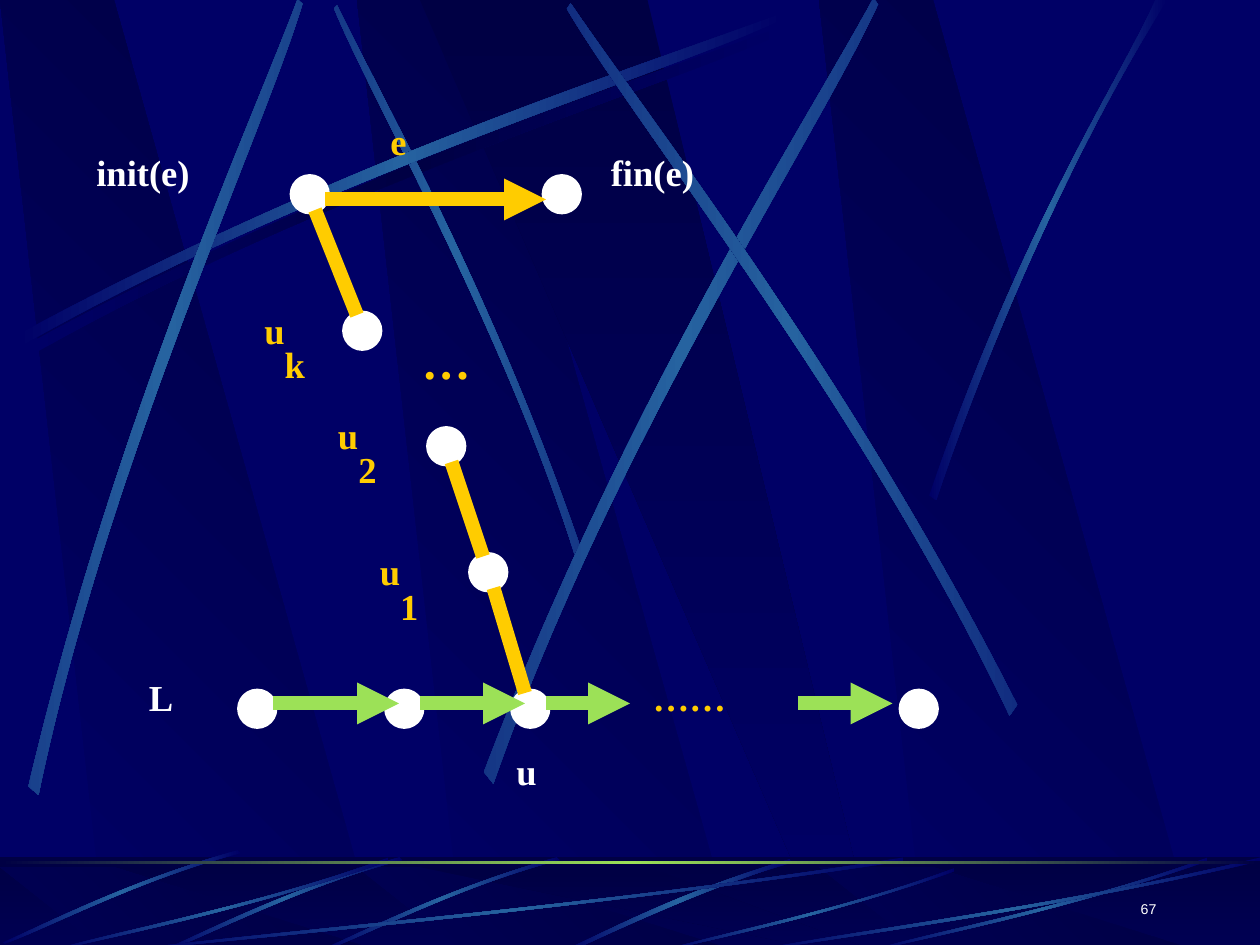
from lxml.etree import SubElement as Sub
from pptx import Presentation
from pptx.dml.color import RGBColor as Rgb
from pptx.enum.shapes import MSO_CONNECTOR as Conn, MSO_SHAPE as Form
from pptx.enum.text import MSO_ANCHOR as Anchor, PP_ALIGN as Align
from pptx.oxml.ns import qn
from pptx.util import Pt

HUES = {"navy": "000066", "dark": "000044", "blue": "2663A0",
        "green": "9CE157", "gold": "FFCC00", "white": "FFFFFF"}

deck = Presentation()
deck.slide_width, deck.slide_height = Pt(720), Pt(540)
slide = deck.slides.add_slide(deck.slide_layouts[6])
shapes = slide.shapes
slide.background.fill.solid()
slide.background.fill.fore_color.rgb = Rgb.from_string(HUES["navy"])


def shade(shape, hues, angle):
    shape.shadow.inherit = False
    shape.line.fill.background()
    shape.fill.gradient()
    grad = shape._element.spPr.find(qn("a:gradFill"))
    grad.set("rotWithShape", "0")
    for child in list(grad):
        grad.remove(child)
    stops = Sub(grad, qn("a:gsLst"))
    for i, hue in enumerate(hues):
        stop = Sub(stops, qn("a:gs"), pos=str(i * 100000 // (len(hues) - 1)))
        Sub(stop, qn("a:srgbClr"), val=HUES[hue])
    Sub(grad, qn("a:lin"), ang=str(angle * 60000), scaled="0")


def write(text, left, top, width, height, size, hue, face="Times New Roman"):
    box = shapes.add_textbox(Pt(left), Pt(top), Pt(width), Pt(height))
    frame = box.text_frame
    frame.word_wrap = True
    para = frame.paragraphs[0]
    for i, part in enumerate(text.split("_")):
        run = para.add_run()
        run.text = part
        run.font.size = Pt(size)
        run.font.name = face
        run.font.bold = face != "Arial"
        run.font.color.rgb = Rgb.from_string(HUES[hue])
        run._r.get_or_add_rPr().set("baseline", "-25000" if i else "30000")
    return frame


slab = [(.28, 1), (1, 1), (.3, 0), (0, 0)]
beam = [(0, 0), (.9, 1), (1, 1), (.5, 0)]
bow = [(0, .96), (.43, .43), (.83, .15), (1, 0),
       (1, .02), (.84, .19), (.38, .5), (0, 1)]
flip = [(1 - x, y) for x, y in bow]
blade = [(0, .99), (.4, .44), (.79, .17), (.95, 0),
         (1, 0), (.52, .36), (.16, .81), (.03, 1)]
horn = [(.99, 0), (.49, .37), (.16, .82), (0, .99),
        (.03, 1), (.23, .77), (.68, .25), (1, .04)]
sweep = [(1, .04), (.57, .57), (.17, .85), (0, 1),
         (0, .99), (.16, .81), (.62, .51), (1, 0)]
fall, rise = (["navy", "dark"], 315), (["dark", "navy"], 90)
dim, glow = (["navy", "dark", "navy"], 0), (["navy", "blue", "navy"], 0)

upper = [(slab, x, 0, 217, 541, 0, fall) for x in (204, 0, 468)] + [
    (beam, 240, 0, 260, 541, 0, rise),
    (bow, 14.4, 13, 438, 192, 0, dim),
    (flip, 101.5, 97, 318, 126, 45, glow),
    (bow, 10, 7, 438, 192, 0, glow),
    (bow, -123, 131, 438, 192, 311.7, glow),
    (bow, 166, 115, 449, 217, 321.6, glow),
    (flip, 232.5, 109.5, 438, 192, 34.7, glow),
    (blade, 531, 0, 136, 286, 0, glow)]
floor = [(slab, x, 495.5, 217, 48, 0, fall) for x in (204, 0, 468)] + [
    (beam, 240, 495.5, 260, 48, 0, rise)]
grass = [(horn, 322.5, 491, 130, 52.5, 0, glow)] + [
    (flip, x, y, 132, 60, 315, glow)
    for x, y in ((186, 487), (96, 487), (3.6, 483))] + [
    (sweep, x, y, w, 543.5 - y, 0, glow)
    for x, y, w in ((72, 490, 444), (30, 490, 192), (379.5, 496, 166),
                    (498, 490, 192), (432, 490, 288))]

for stage, group in enumerate((upper, floor, grass)):
    if stage:
        band = shapes.add_shape(Form.RECTANGLE, 0, Pt(490), Pt(720), Pt(54))
        shade(band, *rise)
        if stage == 2:
            band.fill.solid()
            band.fill.fore_color.rgb = Rgb.from_string(HUES["dark"])
            tint = band._element.spPr.find(qn("a:solidFill"))[0]
            Sub(tint, qn("a:alpha"), val="50000")
    for unit, left, top, width, height, turn, look in group:
        dots = [(Pt(left + x * width), Pt(top + y * height)) for x, y in unit]
        pen = shapes.build_freeform(*dots[0])
        pen.add_line_segments(dots[1:], close=True)
        shape = pen.convert_to_shape()
        shape.rotation = turn
        shade(shape, *look)
        if len(unit) == 8:
            steps = list(shape._element.iter(qn("a:lnTo")))
            for trio in (steps[:3], steps[4:7]):
                home = trio[0].getparent()
                curve = Sub(home, qn("a:cubicBezTo"))
                home.replace(trio[0], curve)
                for step in trio:
                    curve.append(step[0])
                for step in trio[1:]:
                    home.remove(step)

rule = shapes.add_shape(Form.RECTANGLE, 0, Pt(492.25), Pt(720), Pt(1.75))
shade(rule, ["dark", "green", "dark"], 0)

for x, y in ((168, 102), (198, 180), (246, 246), (270, 318), (516, 396),
             (294, 396), (222, 396), (138, 396), (312, 102)):
    node = shapes.add_shape(Form.OVAL, Pt(x), Pt(y), Pt(18), Pt(18))
    node.shadow.inherit = False
    node.fill.solid()
    node.fill.fore_color.rgb = Rgb.from_string(HUES["white"])
    node.line.color.rgb = Rgb.from_string(HUES["white"])
    node.line.width = Pt(5)

for x, y, x2, y2, hue, head in (
        (156, 402, 228, 402, "green", True),
        (240, 402, 300, 402, "green", True),
        (312, 402, 360, 402, "green", True),
        (456, 402, 510, 402, "green", True),
        (300, 396, 282, 336, "gold", False),
        (276, 318, 258, 264, "gold", False),
        (204, 180, 180, 120, "gold", False),
        (186, 114, 312, 114, "gold", True)):
    edge = shapes.add_connector(Conn.STRAIGHT, Pt(x), Pt(y), Pt(x2), Pt(y2))
    edge.line.color.rgb = Rgb.from_string(HUES[hue])
    edge.line.width = Pt(8)
    props = edge._element.spPr
    if head:
        Sub(props.get_or_add_ln(), qn("a:tailEnd"), type="triangle")
    Sub(props, qn("a:effectLst"))

for text, x, y, width, size, hue in (
        ("……", 366, 378, 90, 36, "gold"),
        ("L", 78, 378, 54, 36, "white"),
        ("u", 288, 420, 54, 36, "white"),
        ("init(e)", 48, 78, 108, 36, "white"),
        ("e", 216, 60, 54, 36, "gold"),
        ("u_1", 210, 306, 48, 36, "gold"),
        ("u_2", 186, 228, 54, 36, "gold"),
        ("u_k", 144, 168, 54, 36, "gold"),
        ("…", 234, 180, 90, 48, "gold"),
        ("fin(e)", 342, 78, 108, 36, "white")):
    write(text, x, y, width, size * 1.4, size, hue)

frame = write("67", 518, 497, 150, 36, 14, "white", "Arial")
frame.vertical_anchor = Anchor.BOTTOM
frame.paragraphs[0].alignment = Align.RIGHT

deck.save("out.pptx")
